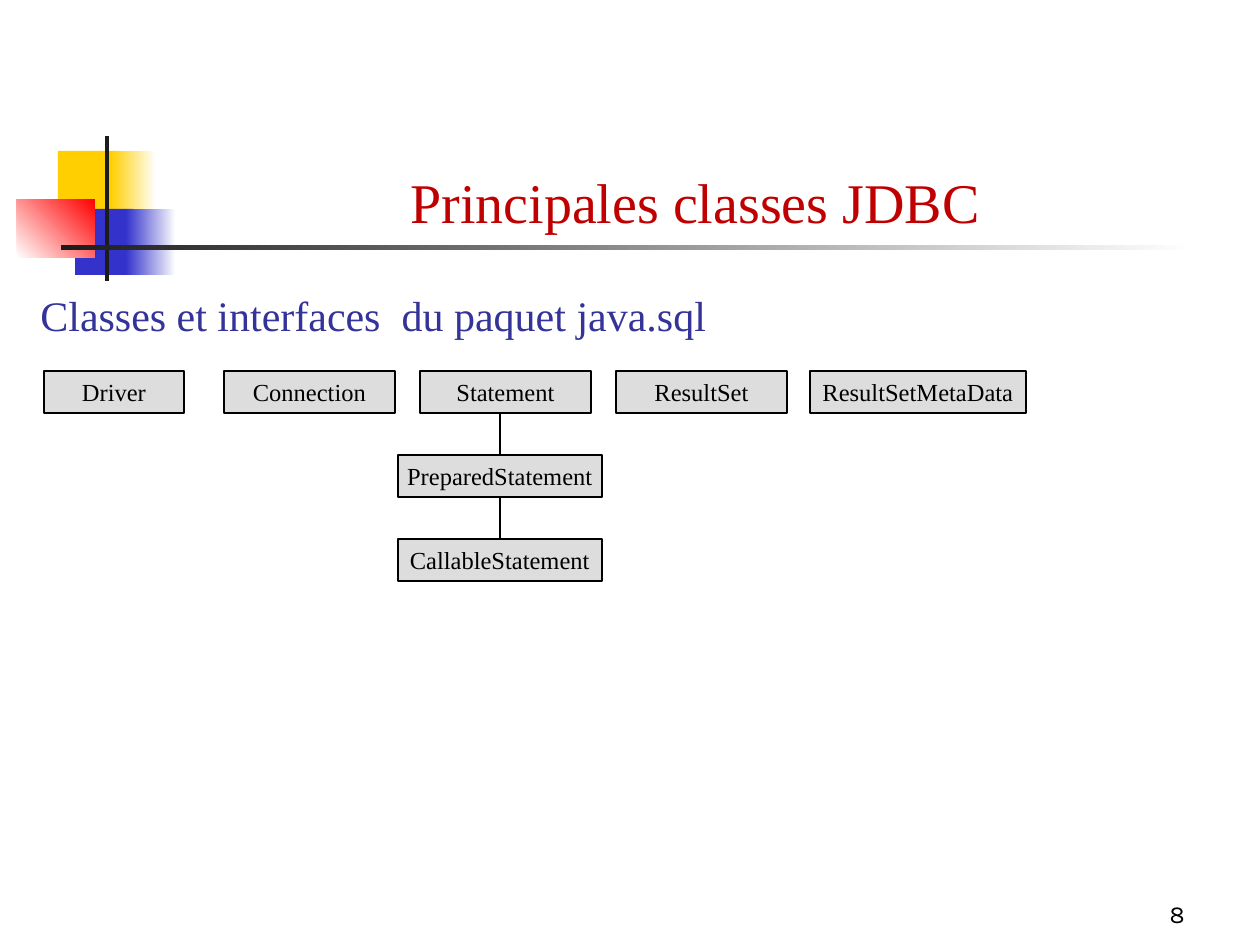
import pptx
import pptx.util
import pptx.dml.color
import pptx.enum.shapes
import pptx.enum.text
import pptx.oxml.ns
import lxml.etree

RGB = pptx.dml.color.RGBColor
ALIGN = pptx.enum.text.PP_ALIGN
ANCHOR = pptx.enum.text.MSO_ANCHOR
PX = 914400 // 126

BLACK = RGB(0x00, 0x00, 0x00)
WHITE = RGB(0xFF, 0xFF, 0xFF)
INK = RGB(0x1C, 0x1C, 0x1C)
YELLOW = RGB(0xFF, 0xCF, 0x01)
BLUE = RGB(0x33, 0x33, 0xCC)
RED = RGB(0xFF, 0x00, 0x00)
GREY = RGB(0xDD, 0xDD, 0xDD)
NAVY = RGB(0x33, 0x33, 0x99)
CRIMSON = RGB(0xC0, 0x00, 0x00)


def emu(*lengths):
    """Turn pixel lengths into EMU."""
    return [pptx.util.Emu(n * PX) for n in lengths]


def write(shape, text, size=14, font="Times New Roman", color=BLACK,
          align=ALIGN.LEFT, anchor=ANCHOR.TOP, wrap=True, top=6):
    """Put one formatted line of text in a shape."""
    tf = shape.text_frame
    tf.word_wrap = wrap
    tf.vertical_anchor = anchor
    tf.margin_top = emu(top)[0]
    p = tf.paragraphs[0]
    p.alignment = align
    r = p.add_run()
    r.text = text
    r.font.size = pptx.util.Pt(size)
    r.font.name = font
    r.font.color.rgb = color


def add_text(s, box, text, **fmt):
    """Add a text box."""
    write(s.shapes.add_textbox(*emu(*box)), text, **fmt)


def add_rect(s, box, start, end=None, angle=0):
    """Add a borderless rectangle, solid or fading from start to end."""
    sp = s.shapes.add_shape(pptx.enum.shapes.MSO_SHAPE.RECTANGLE, *emu(*box))
    sp.shadow.inherit = False
    sp.line.fill.background()
    if end is None:
        sp.fill.solid()
        sp.fill.fore_color.rgb = start
    else:
        sp.fill.gradient()
        sp.fill.gradient_angle = angle
        for stop, color in zip(sp.fill.gradient_stops, (start, end)):
            stop.color.rgb = color
    return sp


def add_ornament(s, x, y):
    """Draw the coloured squares and the two dark bars."""
    for box, *colors in (
        ((41, 15, 60, 65), YELLOW),
        ((94, 15, 45, 65), YELLOW, WHITE),
        ((58, 73, 58, 66), BLUE),
        ((109, 73, 50, 66), BLUE, WHITE),
        ((0, 63, 78, 59), WHITE, RED, 45),
        ((88, 0, 4, 145), INK),
        ((44, 109, 1134, 5), INK, WHITE),
    ):
        dx, dy, w, h = box
        add_rect(s, (x + dx, y + dy, w, h), *colors)


def add_class(s, box, name):
    """Add one outlined class box."""
    sp = add_rect(s, box, GREY)
    sp.line.color.rgb = BLACK
    sp.line.width = pptx.util.Pt(0.75)
    write(sp, name, align=ALIGN.CENTER, anchor=ANCHOR.MIDDLE, wrap=False)


def add_link(s, x, top, bottom):
    """Add a vertical line between two class boxes."""
    c = s.shapes.add_connector(pptx.enum.shapes.MSO_CONNECTOR.STRAIGHT,
                               *emu(x, top, x, bottom))
    c.line.color.rgb = BLACK
    c.line.width = pptx.util.Pt(0.75)
    lxml.etree.SubElement(c._element.spPr, pptx.oxml.ns.qn("a:effectLst"))


def add_diagram(s, x, y, h=42):
    """Draw the row of classes and the chain below Statement."""
    for dx, w, name in ((0, 140, "Driver"), (180, 171, "Connection"),
                        (376, 171, "Statement"), (572, 171, "ResultSet"),
                        (766, 216, "ResultSetMetaData")):
        add_class(s, (x + dx, y, w, h), name)
    left, w = x + 354, 204
    for level, name in enumerate(("PreparedStatement", "CallableStatement"), 1):
        top = y + 2 * level * h
        add_class(s, (left, top, w, h), name)
        add_link(s, left + w // 2, top - h, top)


def add_class_slide(prs):
    """Build the slide on JDBC classes."""
    s = prs.slides.add_slide(prs.slide_layouts[6])
    add_ornament(s, 17, 136)
    add_text(s, (935, 872, 262, 63), "8", font="Karla",
             align=ALIGN.RIGHT, anchor=ANCHOR.BOTTOM)
    add_diagram(s, 44, 371)
    add_text(s, (28, 280, 830, 63), "Classes et interfaces  du paquet java.sql",
             size=24, color=NAVY, top=10)
    add_text(s, (159, 155, 1073, 157), "Principales classes JDBC",
             size=32, color=CRIMSON, align=ALIGN.CENTER, top=12)


prs = pptx.Presentation()
prs.slide_width, prs.slide_height = emu(1260, 945)
add_class_slide(prs)
prs.save("out.pptx")
